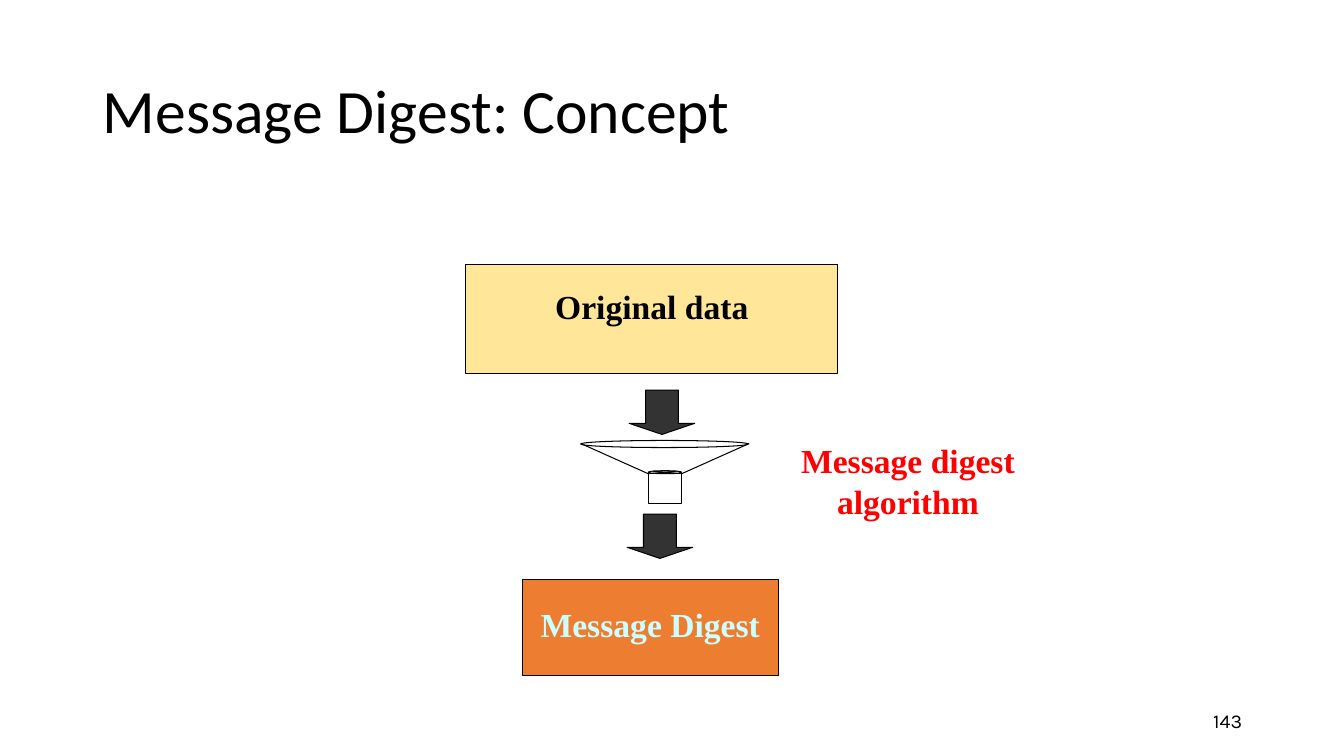
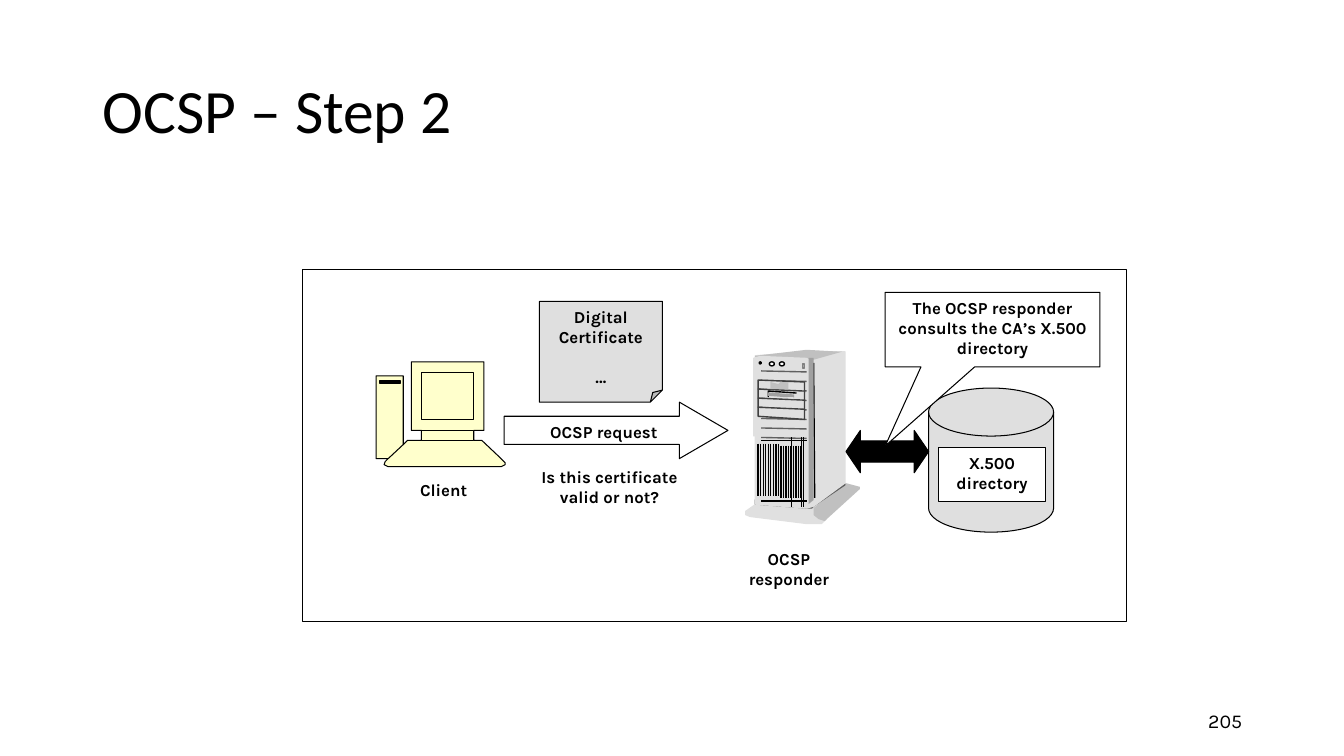
from lxml.etree import SubElement
from pptx import Presentation
from pptx.dml.color import RGBColor
from pptx.enum.shapes import MSO_CONNECTOR, MSO_SHAPE as SHAPE
from pptx.enum.text import MSO_ANCHOR as ANCHOR, PP_ALIGN as ALIGN
from pptx.oxml.ns import qn
from pptx.util import Inches, Pt

BLACK, WHITE, SILVER = "000000", "FFFFFF", "C0C0C0"
PALE_GREY, MID_GREY, DARK_GREY = "E0E0E0", "A0A0A0", "606060"
CREAM, RED, ICE = "FFFFCC", "FF0000", "CCFFFF"
THIN = 0.75
TITLE_FONT = {"name": "Calibri", "size": Pt(44)}
NUMBER_FONT = {"name": "Karla", "size": Pt(14)}
LABEL_FONT = {"name": "Karla", "size": Pt(12), "bold": True}
SERIF_FONT = {"name": "Times New Roman", "size": Pt(24), "bold": True}

COMPUTER = [
    (4, 4.41), (4.04, 4.37), (4.18, 4.37), (4.18, 4.27), (4.08, 4.27),
    (4.08, 3.59), (4.8, 3.59), (4.8, 4.27), (4.7, 4.27), (4.7, 4.37),
    (4.78, 4.37), (4.97, 4.55), (5.01, 4.59), (5.01, 4.61), (4.97, 4.63),
    (3.85, 4.63), (3.81, 4.61), (3.82, 4.58), (3.85, 4.55), (3.73, 4.55),
    (3.73, 3.73), (4, 3.73),
]
SERVER_CASE = [
    ([(7.49, 5), (7.39, 5.07), (7.39, 5.11), (7.44, 5.13), (8, 5.2),
      (8.15, 5.2), (8.2, 5.15), (8.35, 4.79)], PALE_GREY, None),
    ([(8.07, 5.04), (8.07, 5.11), (8.12, 5.15), (8.18, 5.17), (8.2, 5.15),
      (8.53, 4.85), (8.53, 4.83), (8.38, 4.79)], SILVER, None),
    ([(8.38, 4.81), (8.07, 5.02), (8.05, 5.04), (8, 5.04), (7.49, 5),
      (7.49, 4.96)], DARK_GREY, DARK_GREY),
    ([(8.38, 3.49), (8.38, 4.79), (8.07, 5.02), (8, 5.04), (7.49, 5),
      (7.49, 3.53), (8.02, 3.49)], PALE_GREY, PALE_GREY),
    ([(7.49, 3.53), (8, 3.47), (8.35, 3.49), (8.03, 3.58), (7.49, 3.55)],
     SILVER, None),
    ([(7.49, 4.96), (8.05, 4.98), (8.05, 3.58), (8, 3.55), (7.54, 3.53),
      (7.47, 3.55), (7.47, 4.33), (7.49, 4.33)], PALE_GREY, None),
]
DISK_SLOT = [
    ([(7.62, 3.9), (7.62, 3.92), (7.87, 3.94), (7.87, 3.92)], MID_GREY, MID_GREY),
    ([(7.79, 3.94), (7.87, 3.94), (7.87, 3.96)], PALE_GREY, None),
    ([(7.64, 3.79), (7.64, 3.86), (7.82, 3.86), (7.82, 3.79), (7.74, 3.79),
      (7.72, 3.81)], SILVER, None),
]


def color(value):
    """Turn a hex string into a colour."""
    return RGBColor.from_string(value)


def apply_format(target, values):
    """Set every attribute named in a dict of format values."""
    for name, value in values.items():
        setattr(target, name, value)


def paint(shape, fill=None, line=BLACK, width=THIN, alpha=None):
    """Set the fill, outline and shadow of a shape."""
    shape.shadow.inherit = False
    if fill:
        shape.fill.solid()
        shape.fill.fore_color.rgb = color(fill)
    else:
        shape.fill.background()
    if alpha:
        fill_color = next(shape.element.iter(qn("a:srgbClr")))
        SubElement(fill_color, qn("a:alpha"), val=str(alpha * 1000))
    if line:
        shape.line.color.rgb = color(line)
        shape.line.width = Pt(width)
    else:
        shape.line.fill.background()


def adjust(shape, adjustments):
    """Set the adjustment values of a preset shape."""
    guides = next(shape.element.iter(qn("a:avLst")))
    guides.clear()
    for index, value in enumerate(adjustments, 1):
        name = f"adj{index}" if len(adjustments) > 1 else "adj"
        SubElement(guides, qn("a:gd"), name=name, fmla=f"val {round(value * 100000)}")


def add_box(shapes, kind, box, fill=None, adjustments=(), **style):
    """Add a painted preset shape."""
    shape = shapes.add_shape(kind, *map(Inches, box))
    if adjustments:
        adjust(shape, adjustments)
    paint(shape, fill, **style)
    return shape


def add_outline(shapes, points, fill=None, line=BLACK, width=1, close=True):
    """Add a painted freeform through the given points."""
    corners = [(Inches(x), Inches(y)) for x, y in points]
    builder = shapes.build_freeform(*corners[0])
    builder.add_line_segments(corners[1:], close=close)
    paint(builder.convert_to_shape(), fill, line, width)


def add_line(shapes, start, end, line=BLACK, width=THIN):
    """Add a straight line without a shadow."""
    connector = shapes.add_connector(
        MSO_CONNECTOR.STRAIGHT, *map(Inches, (*start, *end)))
    connector.line.color.rgb = color(line)
    connector.line.width = Pt(width)
    SubElement(connector.element.spPr, qn("a:effectLst"))


def write(shape, paragraphs, font, text_color=BLACK, align=ALIGN.CENTER,
          anchor=ANCHOR.TOP, top=0.05, gap=0, line_spacing=1.0):
    """Write formatted paragraphs into a shape."""
    frame = shape.text_frame
    apply_format(frame, {"word_wrap": True, "vertical_anchor": anchor,
                         "margin_top": Inches(top)})
    for index, text in enumerate(paragraphs):
        paragraph = frame.add_paragraph() if index else frame.paragraphs[0]
        apply_format(paragraph, {"alignment": align, "line_spacing": line_spacing,
                                 "space_before": Pt(gap if index else 0)})
        run = paragraph.add_run()
        run.text = text
        apply_format(run.font, font)
        run.font.color.rgb = color(text_color)


def add_label(shapes, text, box, font=LABEL_FONT, text_color=BLACK, **layout):
    """Add a text box holding one paragraph."""
    write(shapes.add_textbox(*map(Inches, box)), [text], font, text_color, **layout)


def add_slide(presentation, title, number):
    """Add a slide with its title and page number."""
    slide = presentation.slides.add_slide(presentation.slide_layouts[5])
    heading = slide.shapes.title
    apply_format(heading, {"left": Inches(0.92), "top": Inches(0.4),
                           "width": Inches(11.5), "height": Inches(1.45)})
    write(heading, [title], TITLE_FONT, align=ALIGN.LEFT, anchor=ANCHOR.MIDDLE,
          line_spacing=0.9)
    add_label(slide.shapes, number, (9.42, 6.95, 3, 0.4), NUMBER_FONT,
              align=ALIGN.RIGHT, anchor=ANCHOR.MIDDLE)
    return slide


def add_funnel(slide):
    """Draw the funnel that stands for the algorithm."""
    shapes = slide.shapes.add_group_shape().shapes
    add_line(shapes, (5.76, 4.4), (6.43, 4.7))
    add_line(shapes, (7.43, 4.4), (6.76, 4.7))
    add_box(shapes, SHAPE.FLOWCHART_SUMMING_JUNCTION, (6.43, 4.67, 0.33, 0.03))
    add_box(shapes, SHAPE.FLOWCHART_PROCESS, (6.43, 4.7, 0.33, 0.3))
    add_box(shapes, SHAPE.OVAL, (5.76, 4.37, 1.66, 0.07))


def add_client(slide):
    """Draw the client computer."""
    shapes = slide.shapes.add_group_shape().shapes
    add_outline(shapes, COMPUTER, CREAM, width=THIN)
    add_line(shapes, (3.85, 4.55), (4, 4.41))
    for box in ((4.18, 4.27, 0.52, 0.1), (4.18, 3.7, 0.52, 0.46),
                (3.76, 3.78, 0.21, 0.02)):
        add_box(shapes, SHAPE.RECTANGLE, box, CREAM)


def add_server(slide):
    """Draw the responder's server tower."""
    shapes = slide.shapes.add_group_shape().shapes
    for points, fill, line in SERVER_CASE:
        add_outline(shapes, points, fill, line)
    add_line(shapes, (8.07, 3.6), (8.08, 4.94), width=1)
    add_outline(shapes, [(8.02, 5), (8.07, 4.96), (8.07, 3.55), (8.02, 3.55)],
                MID_GREY, None)
    for index in range(8):
        y = 3.68 + 0.66 * index / 7
        add_line(shapes, (7.55, y), (8, y + 0.01), DARK_GREY, 1)
    for y in (4.37, 4.97):
        add_line(shapes, (7.55, y), (8, y), width=1)
    for index in range(18):
        x, y = 7.52 + index / 40, 4.4 if index < 9 else 4.42
        add_line(shapes, (x, y), (x, y + 0.52), width=1)
    for x in (7.85, 7.95, 7.97):
        add_line(shapes, (x, 4.34), (x, 5.03), width=1)
    add_box(shapes, SHAPE.OVAL, (7.53, 3.59, 0.02, 0.02), BLACK, width=1)
    for x in (7.63, 7.73):
        add_box(shapes, SHAPE.OVAL, (x, 3.59, 0.05, 0.04), WHITE, width=1)
    add_box(shapes, SHAPE.RECTANGLE, (7.96, 3.61, 0.02, 0.04), MID_GREY,
            line="808080", width=1)
    for index in range(4):
        y = 3.77 + 0.09 * index
        add_outline(shapes, [(7.52, y), (7.52, y + 0.09), (7.98, y + 0.12),
                             (7.98, y + 0.02)], PALE_GREY, "404040")
    add_outline(shapes, [(7.62, 3.94), (7.62, 3.88), (7.9, 3.9)], close=False)
    for points, fill, line in DISK_SLOT:
        add_outline(shapes, points, fill, line)


def build_digest_slide(presentation):
    """Build the slide on the idea of a message digest."""
    slide = add_slide(presentation, "Message Digest: Concept", "143")
    shapes = slide.shapes
    data = add_box(shapes, SHAPE.RECTANGLE, (4.62, 2.62, 3.69, 1.09), "FFE699")
    write(data, ["Original data"], SERIF_FONT, top=0.22)
    add_funnel(slide)
    digest = add_box(shapes, SHAPE.RECTANGLE, (5.18, 5.75, 2.54, 0.95), "ED7D31")
    write(digest, ["Message Digest"], SERIF_FONT, ICE, top=0.24)
    for x, y in ((6.24, 3.87), (6.22, 5.1)):
        add_box(shapes, SHAPE.DOWN_ARROW, (x, y, 0.65, 0.44), "333333", (0.5, 0.25))
    add_label(shapes, "Message digest algorithm", (7.75, 4.32, 2.51, 1.1),
              SERIF_FONT, RED)


def build_ocsp_slide(presentation):
    """Build the slide on the second OCSP step."""
    slide = add_slide(presentation, "OCSP – Step 2", "205")
    shapes = slide.shapes
    add_box(shapes, SHAPE.RECTANGLE, (3, 2.67, 8.17, 3.5), WHITE)
    add_client(slide)
    add_box(shapes, SHAPE.FLOWCHART_MAGNETIC_DISK, (9.21, 3.85, 1.24, 1.43),
            SILVER, alpha=50)
    add_server(slide)
    directory = add_box(shapes, SHAPE.RECTANGLE, (9.31, 4.44, 1.06, 0.54), WHITE)
    write(directory, ["X.500 directory"], LABEL_FONT)
    request = add_box(shapes, SHAPE.RIGHT_ARROW, (5, 3.99, 2.22, 0.56),
                      adjustments=(0.5, 0.86))
    write(request, ["OCSP request"], LABEL_FONT)
    certificate = add_box(shapes, SHAPE.FOLDED_CORNER, (5.35, 2.99, 1.22, 1),
                          SILVER, (0.12,), alpha=50)
    write(certificate, ["Digital Certificate", "…"], LABEL_FONT, gap=14.5)
    for text, box in (
        ("Client", (3.99, 4.71, 0.82, 0.27)),
        ("Is this certificate valid or not?", (5.1, 4.58, 1.89, 0.59)),
        ("OCSP responder", (7.23, 5.39, 1.19, 0.53)),
    ):
        add_label(shapes, text, box)
    add_box(shapes, SHAPE.LEFT_RIGHT_ARROW, (8.39, 4.27, 0.82, 0.42), BLACK,
            (0.5, 0.34))
    callout = add_box(shapes, SHAPE.RECTANGULAR_CALLOUT, (8.78, 2.9, 2.13, 0.74),
                      WHITE, (-0.5, 1.56))
    write(callout, ["The OCSP responder consults the CA’s X.500 directory"], LABEL_FONT)


def main():
    """Build and save the presentation."""
    presentation = Presentation()
    apply_format(presentation, {"slide_width": Inches(13.33),
                                "slide_height": Inches(7.5)})
    build_digest_slide(presentation)
    build_ocsp_slide(presentation)
    presentation.save("out.pptx")


if __name__ == "__main__":
    main()
